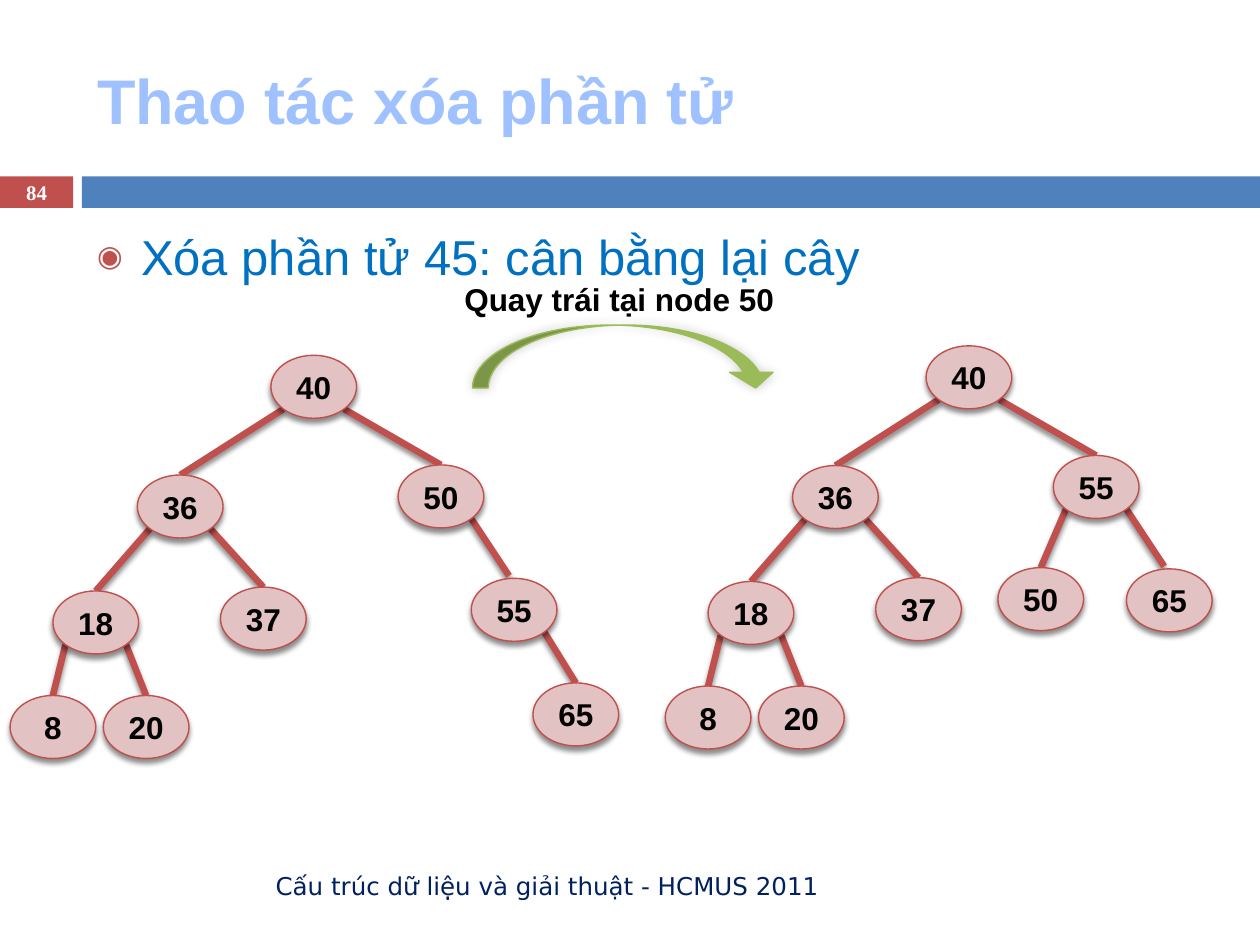
from dataclasses import dataclass
from math import sqrt

from lxml.etree import SubElement
from pptx import Presentation
from pptx.dml.color import RGBColor
from pptx.enum.shapes import MSO_CONNECTOR, MSO_SHAPE
from pptx.enum.text import MSO_ANCHOR, MSO_AUTO_SIZE, PP_ALIGN
from pptx.oxml.ns import qn
from pptx.shapes.base import BaseShape
from pptx.slide import Slide
from pptx.text.text import TextFrame
from pptx.util import Emu, Inches, Pt

# The slide is a grid of 100 columns by 75 rows of square cells.
COLUMNS, ROWS = 100, 75
CELL = Inches(0.1)
NODE_WIDTH, NODE_HEIGHT = 6.8, 5
RED, BLUE, GREEN, PINK = "C0504D", "4F81BD", "9BBB59", "E2C2C2"
BLACK, WHITE = "000000", "FFFFFF"


@dataclass(frozen=True)
class Box:
    column: float
    row: float
    width: float
    height: float

    def lengths(self) -> list[Emu]:
        return [cells(n) for n in (self.column, self.row, self.width, self.height)]


@dataclass(frozen=True)
class Node:
    """A tree node by its centre; end_shift moves the upper end of nothing but its edge."""
    key: int
    column: float
    row: float
    parent: int | None = None
    end_shift: tuple[float, float] = (0, 0)


@dataclass(frozen=True)
class TextStyle:
    size: float
    color: str
    bold: bool = False
    font: str = "Arial"
    align: PP_ALIGN = PP_ALIGN.CENTER
    anchor: MSO_ANCHOR = MSO_ANCHOR.MIDDLE
    side_inset: float = 0


@dataclass(frozen=True)
class Shadow:
    opacity: int
    blur: float
    distance: float
    degrees: int


SOFT_SHADOW = Shadow(45, 3, 2.4, 90)
ARROW_SHADOW = Shadow(20, 6, 0, 315)
NODE_TEXT = TextStyle(18, BLACK, bold=True)

SHARED_NODES = [
    Node(40, 24.9, 30.7),
    Node(36, 14.3, 40.2, 40),
    Node(18, 7.6, 49.4, 36),
    Node(37, 20.9, 49.1, 36),
    Node(8, 4.2, 57.7, 18),
    Node(20, 11.6, 57.7, 18),
]
BEFORE_ROTATION = SHARED_NODES + [
    Node(50, 35, 39.4, 40),
    Node(55, 40.8, 48.4, 50, (-0.4, -0.2)),
    Node(65, 45.7, 56.7, 55),
]
AFTER_ROTATION = SHARED_NODES + [
    Node(55, 35, 39.4, 40),
    Node(50, 30.6, 48.3, 55),
    Node(65, 40.8, 48.4, 55, (-0.4, -0.2)),
]


def cells(count: float) -> Emu:
    return Emu(round(count * CELL))


def rgb(color: str) -> RGBColor:
    return RGBColor.from_string(color)


def add_shadow(shape: BaseShape, shadow: Shadow) -> None:
    properties = shape._element.spPr
    for old in properties.findall(qn("a:effectLst")):
        properties.remove(old)
    effects = SubElement(properties, qn("a:effectLst"))
    outer = SubElement(effects, qn("a:outerShdw"), blurRad=str(Pt(shadow.blur)),
                       dist=str(Pt(shadow.distance)), dir=str(shadow.degrees * 60000),
                       rotWithShape="0")
    color = SubElement(outer, qn("a:srgbClr"), val=BLACK)
    SubElement(color, qn("a:alpha"), val=str(shadow.opacity * 1000))


def write_text(frame: TextFrame, text: str, style: TextStyle, wrap: bool = True) -> None:
    frame.word_wrap = wrap
    frame.auto_size = MSO_AUTO_SIZE.NONE
    frame.vertical_anchor = style.anchor
    frame.margin_left = frame.margin_right = cells(style.side_inset)
    paragraph = frame.paragraphs[0]
    paragraph.alignment = style.align
    paragraph.space_before = Pt(0)
    run = paragraph.add_run()
    run.text = text
    run.font.name = style.font
    run.font.size = Pt(style.size)
    run.font.bold = style.bold
    run.font.color.rgb = rgb(style.color)


def add_text(slide: Slide, box: Box, text: str, style: TextStyle) -> None:
    write_text(slide.shapes.add_textbox(*box.lengths()).text_frame, text, style)


def add_filled(slide: Slide, kind: MSO_SHAPE, box: Box, fill: str,
               line: str | None = None) -> BaseShape:
    shape = slide.shapes.add_shape(kind, *box.lengths())
    shape.shadow.inherit = False
    shape.fill.solid()
    shape.fill.fore_color.rgb = rgb(fill)
    if line:
        shape.line.color.rgb = rgb(line)
        shape.line.width = Pt(0.79)
    else:
        shape.line.fill.background()
    return shape


def add_edge(slide: Slide, parent: Node, child: Node) -> None:
    """Join the parent's lower diagonal point to the top of the child."""
    side = 1 if child.column > parent.column else -1
    shift_column, shift_row = child.end_shift
    edge = slide.shapes.add_connector(
        MSO_CONNECTOR.STRAIGHT,
        cells(parent.column + side * NODE_WIDTH / 2 / sqrt(2)),
        cells(parent.row + NODE_HEIGHT / 2 / sqrt(2)),
        cells(child.column + shift_column),
        cells(child.row - NODE_HEIGHT / 2 + shift_row))
    edge.line.color.rgb = rgb(RED)
    edge.line.width = Pt(3.75)
    add_shadow(edge, SOFT_SHADOW)


def add_node(slide: Slide, node: Node) -> None:
    box = Box(node.column - NODE_WIDTH / 2, node.row - NODE_HEIGHT / 2,
              NODE_WIDTH, NODE_HEIGHT)
    ellipse = add_filled(slide, MSO_SHAPE.OVAL, box, PINK, RED)
    add_shadow(ellipse, SOFT_SHADOW)
    write_text(ellipse.text_frame, str(node.key), NODE_TEXT, wrap=False)


def add_tree(slide: Slide, nodes: list[Node], right: float = 0, down: float = 0) -> None:
    placed = {node.key: Node(node.key, node.column + right, node.row + down,
                             node.parent, node.end_shift) for node in nodes}
    for node in placed.values():
        if node.parent is not None:
            add_edge(slide, placed[node.parent], node)
    for node in placed.values():
        add_node(slide, node)


def fill_placeholder(shape: BaseShape, box: Box, text: str, style: TextStyle) -> None:
    shape.left, shape.top, shape.width, shape.height = box.lengths()
    write_text(shape.text_frame, text, style)


def add_bullet(shape: BaseShape) -> None:
    properties = shape.text_frame.paragraphs[0]._p.get_or_add_pPr()
    properties.set("marL", str(cells(3.5)))
    properties.set("indent", str(cells(-3.5)))
    color = SubElement(properties, qn("a:buClr"))
    SubElement(color, qn("a:srgbClr"), val=RED)
    SubElement(properties, qn("a:buSzPct"), val="60000")
    SubElement(properties, qn("a:buChar"), char="◉")


def main() -> None:
    presentation = Presentation()
    presentation.slide_width, presentation.slide_height = cells(COLUMNS), cells(ROWS)
    slide = presentation.slides.add_slide(presentation.slide_layouts[1])
    title, body = slide.placeholders
    fill_placeholder(title, Box(6.7, 2.5, 89.2, 10.8), "Thao tác xóa phần tử",
                     TextStyle(36, "A0C1FF", True, align=PP_ALIGN.LEFT, side_inset=1))
    add_bullet(body)
    fill_placeholder(body, Box(6.7, 17.5, 89.2, 49.2), "Xóa phần tử 45: cân bằng lại cây",
                     TextStyle(28, "0070C0", align=PP_ALIGN.LEFT,
                               anchor=MSO_ANCHOR.TOP, side_inset=1))
    add_filled(slide, MSO_SHAPE.RECTANGLE, Box(0, 14, 5.8, 2.5), RED)
    add_filled(slide, MSO_SHAPE.RECTANGLE, Box(6.5, 14, 93.5, 2.5), BLUE)
    add_text(slide, Box(0, 13.9, 5.8, 2.7), "84",
             TextStyle(11.9, WHITE, True, "Times New Roman"))
    add_text(slide, Box(6.7, 68.3, 59.3, 4), "Cấu trúc dữ liệu và giải thuật - HCMUS 2011",
             TextStyle(14, "002060", font="DejaVu Sans", align=PP_ALIGN.RIGHT, side_inset=1))
    add_tree(slide, BEFORE_ROTATION)
    arrow = add_filled(slide, MSO_SHAPE.CURVED_DOWN_ARROW, Box(37.5, 25.8, 24.2, 5),
                       GREEN, GREEN)
    for index, value in enumerate((0.25, 0.69, 0.25)):
        arrow.adjustments[index] = value
    add_shadow(arrow, ARROW_SHADOW)
    add_text(slide, Box(35.8, 21.7, 26.7, 4), "Quay trái tại node 50", NODE_TEXT)
    add_tree(slide, AFTER_ROTATION, right=52, down=-0.75)
    presentation.save("out.pptx")


if __name__ == "__main__":
    main()
